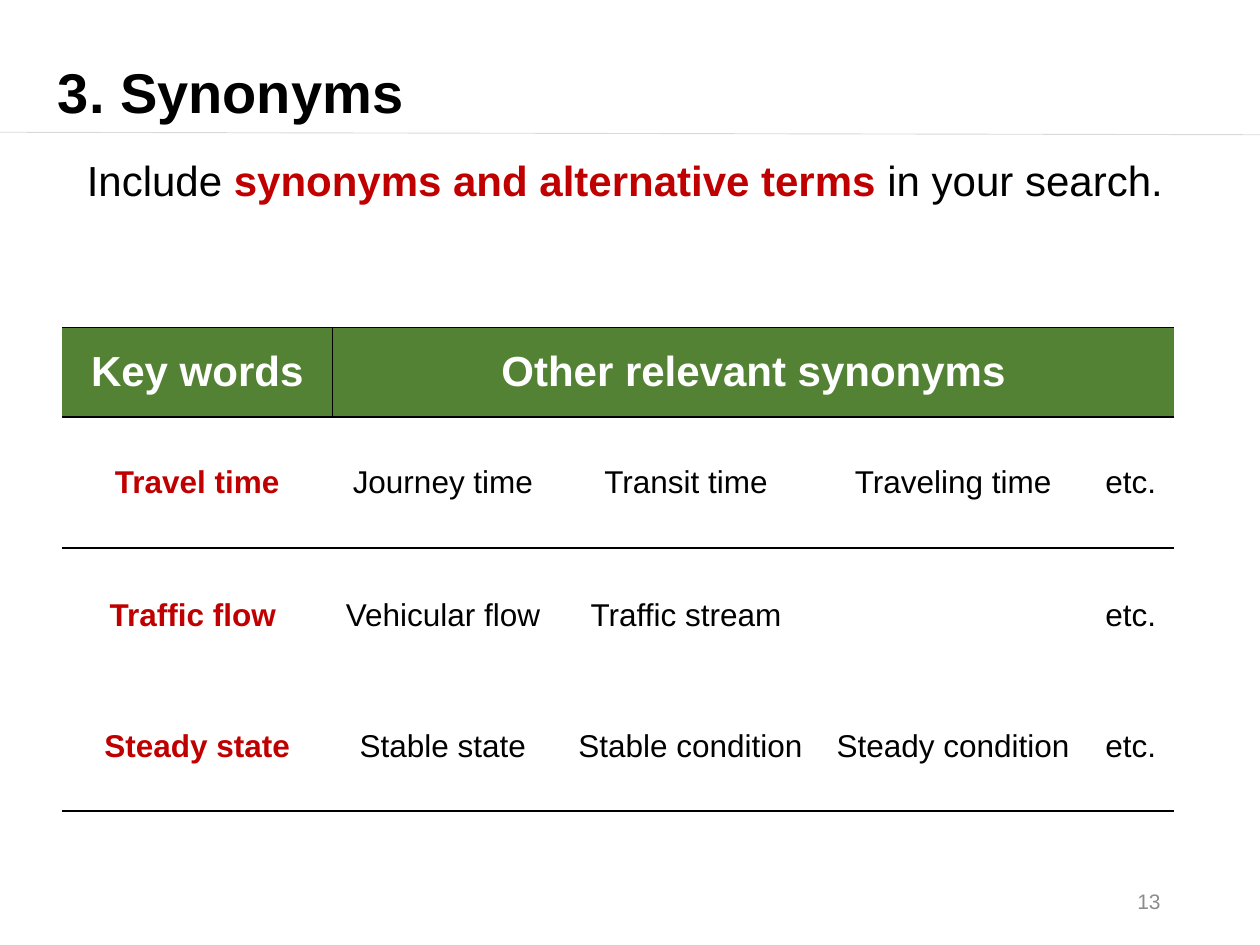
"""Build the slide on including synonyms in a literature search."""
from typing import NamedTuple

from lxml.etree import SubElement
from pptx import Presentation
from pptx.dml.color import RGBColor
from pptx.enum.shapes import MSO_CONNECTOR
from pptx.enum.text import MSO_ANCHOR, PP_ALIGN
from pptx.oxml import parse_xml
from pptx.oxml.ns import nsdecls, qn
from pptx.util import Pt

BLACK = RGBColor(0x00, 0x00, 0x00)
WHITE = RGBColor(0xFF, 0xFF, 0xFF)
RED = RGBColor(0xC0, 0x00, 0x00)
GREEN = RGBColor(0x54, 0x82, 0x35)
GREY = RGBColor(0x8C, 0x8C, 0x8C)
RULE = RGBColor(0xD9, 0xD9, 0xD9)
FONT = "Arial"
NO_STYLE = "{2D5ABB26-0587-4C30-8999-92F81FD0307C}"


class Box(NamedTuple):
    left: float
    top: float
    width: float
    height: float

    def points(self) -> list:
        return [Pt(v) for v in self]


class Term(NamedTuple):
    keyword: str
    synonyms: tuple


TITLE = Box(25.9, 29.5, 501.1, 46.1)
INTRO = Box(42.5, 85, 653.8, 36)
NUMBER = Box(508.3, 500.4, 162, 28.8)
TABLE = Box(35.3, 187.2, 635.8, 275.8)
COLS = (154.8, 126, 151.9, 153.4, 49.7)
ROWS = (51.1, 74.9, 77, 73.4)
TERMS = (
    Term("Travel time", ("Journey time", "Transit time", "Traveling time", "etc.")),
    Term("Traffic flow ", ("Vehicular flow", "Traffic stream", "", "etc.")),
    Term("Steady state", ("Stable state", " Stable condition", "Steady condition", "etc.")),
)


def add_text(tf, text: str, *, size: float, color=BLACK, bold=False,
             align=PP_ALIGN.LEFT, anchor=MSO_ANCHOR.TOP) -> None:
    tf.vertical_anchor = anchor
    p = tf.paragraphs[0]
    p.alignment = align
    r = p.add_run()
    r.text = text
    r.font.name, r.font.size, r.font.bold = FONT, Pt(size), bold
    r.font.color.rgb = color


def add_box(s, box: Box):
    tf = s.shapes.add_textbox(*box.points()).text_frame
    tf.word_wrap = True
    return tf


def add_rule(s) -> None:
    line = s.shapes.add_connector(MSO_CONNECTOR.STRAIGHT, Pt(720), Pt(77), Pt(0), Pt(75.6))
    line.line.color.rgb = RULE
    line.line.width = Pt(0.5)
    SubElement(line._element.spPr, qn("a:effectLst"))


def set_borders(cell, sides: str) -> None:
    tcPr = cell._tc.get_or_add_tcPr()
    for i, side in enumerate(c for c in "LRTB" if c in sides):
        tcPr.insert(i, parse_xml(
            f'<a:ln{side} {nsdecls("a")} w="{Pt(1)}"><a:solidFill>'
            f'<a:srgbClr val="{BLACK}"/></a:solidFill></a:ln{side}>'))


def fill_cell(cell, text: str, *, fill=None, borders="", **fmt) -> None:
    if fill is None:
        cell.fill.background()
    else:
        cell.fill.solid()
        cell.fill.fore_color.rgb = fill
    set_borders(cell, borders)
    cell.vertical_anchor = MSO_ANCHOR.MIDDLE
    if text:
        add_text(cell.text_frame, text, align=PP_ALIGN.CENTER,
                 anchor=MSO_ANCHOR.MIDDLE, **fmt)


def add_terms_table(s) -> None:
    frame = s.shapes.add_table(len(ROWS), len(COLS), *TABLE.points())
    table = frame.table
    table.first_row = table.horz_banding = False
    table._tbl.tblPr.find(qn("a:tableStyleId")).text = NO_STYLE
    for col, width in zip(table.columns, COLS):
        col.width = Pt(width)
    for row, height in zip(table.rows, ROWS):
        row.height = Pt(height)
    table.cell(0, 1).merge(table.cell(0, len(COLS) - 1))
    headers = ("Key words", "Other relevant synonyms", "", "", "")
    for c, text in enumerate(headers):
        fill_cell(table.cell(0, c), text, fill=GREEN, size=24, color=WHITE, bold=True,
                  borders={0: "RTB", 1: "LTB"}.get(c, "TB"))
    for r, term in enumerate(TERMS, 1):
        borders = {1: "T", len(TERMS): "B"}.get(r, "")
        fill_cell(table.cell(r, 0), term.keyword, size=18, color=RED, bold=True,
                  borders=borders)
        for c, synonym in enumerate(term.synonyms, 1):
            fill_cell(table.cell(r, c), synonym, size=18, borders=borders)


def main() -> None:
    prs = Presentation()
    prs.slide_width, prs.slide_height = Pt(720), Pt(540)
    s = prs.slides.add_slide(prs.slide_layouts[5])
    title = s.shapes.title
    title.left, title.top, title.width, title.height = TITLE.points()
    add_text(title.text_frame, "3. Synonyms", size=32, bold=True)
    add_rule(s)
    intro = add_box(s, INTRO)
    add_text(intro, "Include ", size=24)
    add_text(intro, "synonyms and alternative terms", size=24, color=RED, bold=True)
    add_text(intro, " in your search.", size=24)
    add_text(add_box(s, NUMBER), "13", size=12, color=GREY,
             align=PP_ALIGN.RIGHT, anchor=MSO_ANCHOR.MIDDLE)
    add_terms_table(s)
    prs.save("out.pptx")


if __name__ == "__main__":
    main()
